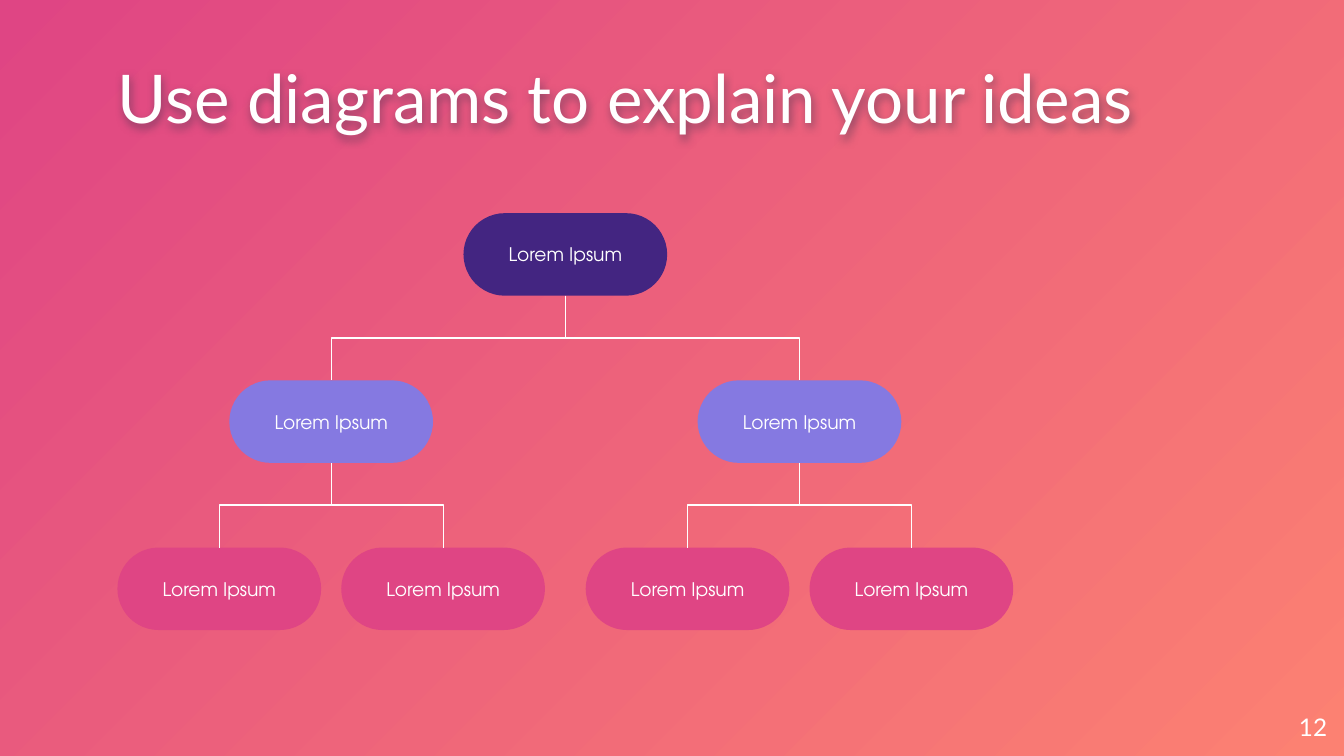
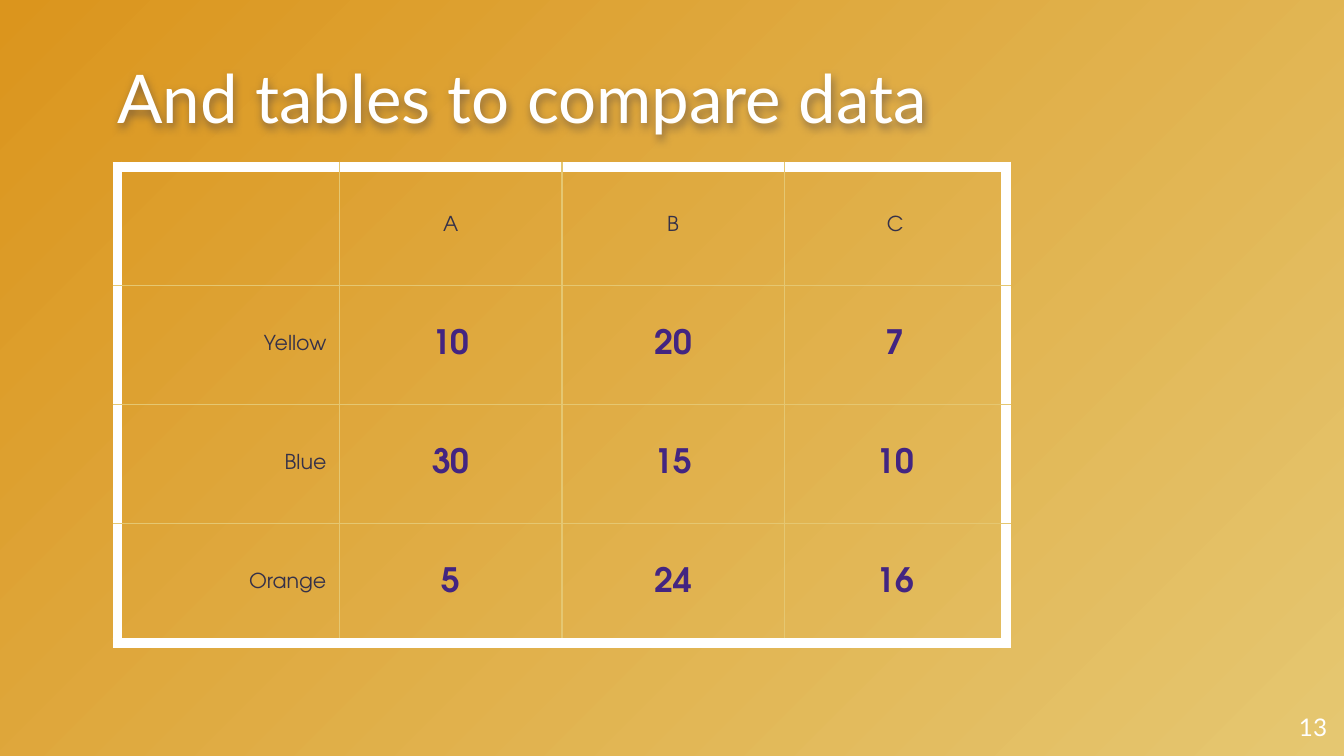
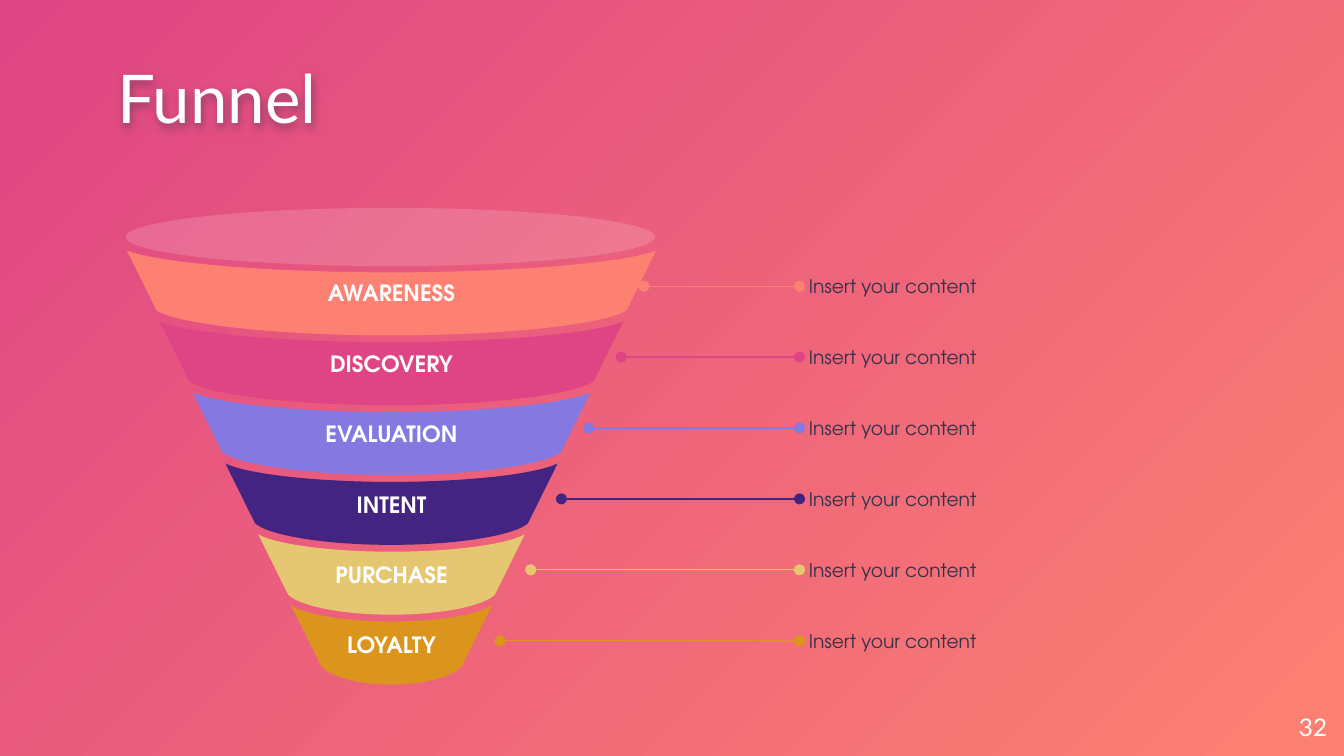
from dataclasses import dataclass

from pptx import Presentation
from pptx.dml.color import RGBColor
from pptx.enum.shapes import MSO_CONNECTOR, MSO_SHAPE
from pptx.enum.text import MSO_ANCHOR, MSO_AUTO_SIZE, PP_ALIGN
from pptx.oxml import parse_xml
from pptx.oxml.ns import nsdecls, qn
from pptx.util import Cm, Pt

COLORS = {
    "white": "FFFFFF",
    "ink": "353149",
    "purple": "432581",
    "lavender": "8579E1",
    "pink": "DF4584",
    "coral": "FC8172",
    "sand": "E5C771",
    "amber": "DB951D",
}
TITLE_FONT = "Lato"
BODY_FONT = "TeX Gyre Adventor"


@dataclass(frozen=True)
class TextStyle:
    font: str
    size: float
    color: str
    bold: bool = False


@dataclass(frozen=True)
class Stage:
    label: str
    color: str
    line_start: float


@dataclass(frozen=True)
class Node:
    left: float
    level: int
    color: str
    children: tuple["Node", ...] = ()


TITLE = TextStyle(TITLE_FONT, 36, "white")
PAGE_NUMBER = TextStyle(TITLE_FONT, 13, "white")
NODE_TEXT = TextStyle(BODY_FONT, 10, "white")
TABLE_LABEL = TextStyle(BODY_FONT, 11, "ink")
TABLE_VALUE = TextStyle(BODY_FONT, 18, "purple", True)
STAGE_LABEL = TextStyle(BODY_FONT, 12, "white", True)
STAGE_NOTE = TextStyle(BODY_FONT, 10, "ink")

NODE_WIDTH, NODE_HEIGHT = 3.85, 1.56
TREE_TOP, LEVEL_STEP = 4.03, 3.16

TABLE_ROWS = [
    ["", "A", "B", "C"],
    ["Yellow", "10", "20", "7"],
    ["Blue", "30", "15", "10"],
    ["Orange", "5", "24", "16"],
]

STAGES = [
    Stage("AWARENESS", "coral", 12.17),
    Stage("DISCOVERY", "pink", 11.74),
    Stage("EVALUATION", "lavender", 11.13),
    Stage("INTENT", "purple", 10.61),
    Stage("PURCHASE", "sand", 10.03),
    Stage("LOYALTY", "amber", 9.45),
]
FUNNEL_CENTER, FUNNEL_TOP, FUNNEL_STEP = 7.4, 4.74, 1.34
CURVE_STARTS = (0, 3, 7, 10)


def rgb(name: str) -> RGBColor:
    return RGBColor.from_string(COLORS[name])


def xml(tag: str, attributes: str = "", content: str = ""):
    return parse_xml(f'<a:{tag} {nsdecls("a")} {attributes}>{content}</a:{tag}>')


def color_xml(name: str, extra: str = "") -> str:
    return f'<a:srgbClr val="{COLORS[name]}">{extra}</a:srgbClr>'


def write(frame, text: str, style: TextStyle, align=PP_ALIGN.LEFT):
    paragraph = frame.paragraphs[0]
    paragraph.alignment = align
    run = paragraph.add_run()
    run.text = text
    run.font.name = style.font
    run.font.size = Pt(style.size)
    run.font.bold = style.bold
    run.font.color.rgb = rgb(style.color)
    return paragraph


def set_frame(frame, anchor=MSO_ANCHOR.MIDDLE, across: float = 0, down: float = 0) -> None:
    frame.word_wrap = True
    frame.auto_size = MSO_AUTO_SIZE.NONE
    frame.vertical_anchor = anchor
    frame.margin_left = frame.margin_right = Cm(across)
    frame.margin_top = frame.margin_bottom = Cm(down)


def add_text(slide, left: float, top: float, width: float, height: float,
             text: str, style: TextStyle, align=PP_ALIGN.LEFT) -> None:
    box = slide.shapes.add_textbox(Cm(left), Cm(top), Cm(width), Cm(height))
    set_frame(box.text_frame)
    write(box.text_frame, text, style, align)


def paint(shape, color: str) -> None:
    shape.shadow.inherit = False
    shape.fill.solid()
    shape.fill.fore_color.rgb = rgb(color)
    shape.line.fill.background()


def style_connector(connector, color: str) -> None:
    connector.line.color.rgb = rgb(color)
    connector.line.width = Pt(0.75)
    connector.element.spPr.append(xml("effectLst"))


def set_background(slide, inner: str, outer: str) -> None:
    fill = slide.background.fill
    fill.gradient()
    for stop, color in zip(fill.gradient_stops, (inner, outer)):
        stop.color.rgb = rgb(color)
    gradient = slide.element.find(".//" + qn("a:gradFill"))
    gradient.remove(gradient.find(qn("a:lin")))
    gradient.append(xml("path", 'path="circle"', '<a:fillToRect l="100000" t="100000"/>'))


def start_slide(presentation, title: str, number: str, inner: str, outer: str):
    slide = presentation.slides.add_slide(presentation.slide_layouts[5])
    set_background(slide, inner, outer)
    shape = slide.shapes.title
    shape.left, shape.top, shape.width, shape.height = Cm(2.22), Cm(1.04), Cm(21.95), Cm(1.57)
    set_frame(shape.text_frame, MSO_ANCHOR.BOTTOM)
    write(shape.text_frame, title, TITLE).line_spacing = 0.9
    shadow = color_xml("ink", '<a:alpha val="50000"/>')
    shape.element.spPr.append(xml("effectLst", "", (
        '<a:outerShdw blurRad="57150" dist="28575" dir="5400000" '
        f'algn="bl" rotWithShape="0">{shadow}</a:outerShdw>')))
    add_text(slide, 23.56, 13.19, 1.52, 1.09, number, PAGE_NUMBER, PP_ALIGN.RIGHT)
    return slide


def parent_of(color: str, *children: Node) -> Node:
    middle = (children[0].left + children[-1].left) / 2
    return Node(middle, children[0].level - 1, color, children)


def join_nodes(slide, parent, child) -> None:
    start = parent.left + parent.width // 2
    end = child.left + child.width // 2
    parent_bottom = parent.top + parent.height
    length, spread = child.top - parent_bottom, abs(end - start)
    connector = slide.shapes.add_connector(MSO_CONNECTOR.ELBOW, 0, 0, length, spread)
    connector.begin_connect(parent, 2)
    connector.end_connect(child, 0)
    frame = connector.element.spPr.find(qn("a:xfrm"))
    for flip in ("flipH", "flipV"):
        frame.attrib.pop(flip, None)
    if end > start:
        frame.set("rot", "16200000")
        frame.set("flipH", "1")
    else:
        frame.set("rot", "5400000")
    connector.left = (start + end - length) // 2
    connector.top = (parent_bottom + child.top - spread) // 2
    connector.width, connector.height = length, spread
    style_connector(connector, "white")


def draw_node(slide, node: Node):
    shape = slide.shapes.add_shape(
        MSO_SHAPE.ROUNDED_RECTANGLE, Cm(node.left), Cm(TREE_TOP + node.level * LEVEL_STEP),
        Cm(NODE_WIDTH), Cm(NODE_HEIGHT))
    shape.adjustments[0] = 0.5
    paint(shape, node.color)
    set_frame(shape.text_frame, across=0.25, down=0.25)
    write(shape.text_frame, "Lorem Ipsum", NODE_TEXT, PP_ALIGN.CENTER)
    for child in node.children:
        join_nodes(slide, shape, draw_node(slide, child))
    return shape


def build_diagram(presentation) -> None:
    slide = start_slide(presentation, "Use diagrams to explain your ideas", "12", "coral", "pink")
    leaves = [Node(left, 2, "pink") for left in (2.22, 6.45, 11.07, 15.3)]
    branches = [parent_of("lavender", *leaves[i:i + 2]) for i in (0, 2)]
    draw_node(slide, parent_of("purple", *branches))


def set_borders(cell, row: int, column: int, last: int) -> None:
    properties = cell._tc.get_or_add_tcPr()
    outer_edges = {"lnL": column == 0, "lnR": column == last, "lnT": row == 0, "lnB": row == last}
    for index, (tag, outer) in enumerate(outer_edges.items()):
        color, width = ("white", Pt(6)) if outer else ("sand", Pt(0.75))
        properties.insert(index, xml(
            tag, f'w="{width}"', f"<a:solidFill>{color_xml(color)}</a:solidFill>"))


def build_table(presentation) -> None:
    slide = start_slide(presentation, "And tables to compare data", "13", "sand", "amber")
    count = len(TABLE_ROWS)
    table = slide.shapes.add_table(
        count, count, Cm(2.22), Cm(3.15), Cm(4.2 * count), Cm(2.25 * count)).table
    table.first_row = table.horz_banding = False
    for row, texts in enumerate(TABLE_ROWS):
        for column, text in enumerate(texts):
            cell = table.cell(row, column)
            cell.fill.background()
            set_borders(cell, row, column, count - 1)
            cell.vertical_anchor = MSO_ANCHOR.MIDDLE
            cell.margin_left = cell.margin_right = Cm(0.25)
            cell.margin_top = cell.margin_bottom = Cm(0.18)
            if text:
                style = TABLE_VALUE if row and column else TABLE_LABEL
                align = PP_ALIGN.CENTER if column else PP_ALIGN.RIGHT
                write(cell.text_frame, text, style, align)


def band_outline(index: int) -> list[tuple[int, int]]:
    top = FUNNEL_TOP + index * FUNNEL_STEP
    half = 5 - 0.62 * index
    shoulder, drop = half - 0.56, 1.13
    sag, height = 0.41 - 0.02 * index, 1.6 - 0.02 * index
    upper = [(half, 0), (0.86 * half, 0.62 * sag), (0.42 * half, sag)]
    lower = [(shoulder, drop), (0.92 * shoulder, (drop + height) / 2), (0.53 * shoulder, height)]
    points = [(-x, y) for x, y in upper] + [(0, sag)] + upper[::-1]
    points += lower + [(0, height)] + [(-x, y) for x, y in lower[::-1]]
    return [(Cm(FUNNEL_CENTER + x), Cm(top + y)) for x, y in points]


def bend_segments(shape) -> None:
    segments = shape.element.findall(".//" + qn("a:lnTo"))
    for start in CURVE_STARTS:
        bend = xml("cubicBezTo")
        segments[start].addprevious(bend)
        for segment in segments[start:start + 3]:
            bend.append(segment.find(qn("a:pt")))
            segment.getparent().remove(segment)


def draw_band(group, index: int, stage: Stage) -> None:
    first, *rest = band_outline(index)
    builder = group.shapes.build_freeform(*first, scale=1.0)
    builder.add_line_segments(rest, close=True)
    band = builder.convert_to_shape()
    bend_segments(band)
    paint(band, stage.color)
    set_frame(band.text_frame, across=0.18, down=0.1)
    write(band.text_frame, stage.label, STAGE_LABEL, PP_ALIGN.CENTER)


def draw_note(slide, index: int, stage: Stage) -> None:
    middle = FUNNEL_TOP + index * FUNNEL_STEP + 0.67
    connector = slide.shapes.add_connector(
        MSO_CONNECTOR.STRAIGHT, Cm(stage.line_start), Cm(middle), Cm(15.11), Cm(middle))
    style_connector(connector, stage.color)
    line = connector.element.spPr.find(qn("a:ln"))
    for tag in ("headEnd", "tailEnd"):
        line.append(xml(tag, 'type="oval"'))
    add_text(slide, 15.29, middle - 0.48, 7.75, 0.96, "Insert your content", STAGE_NOTE)


def build_funnel(presentation) -> None:
    slide = start_slide(presentation, "Funnel", "32", "coral", "pink")
    group = slide.shapes.add_group_shape()
    for index, stage in enumerate(STAGES):
        draw_band(group, index, stage)
    rim = group.shapes.add_shape(MSO_SHAPE.OVAL, Cm(2.38), Cm(3.93), Cm(10), Cm(1.1))
    paint(rim, "white")
    rim.element.spPr.find(".//" + qn("a:srgbClr")).append(xml("alpha", 'val="16000"'))
    for index, stage in enumerate(STAGES):
        draw_note(slide, index, stage)


def main() -> None:
    presentation = Presentation()
    presentation.slide_width = Cm(25.4)
    presentation.slide_height = Cm(14.29)
    build_diagram(presentation)
    build_table(presentation)
    build_funnel(presentation)
    presentation.save("out.pptx")


if __name__ == "__main__":
    main()
